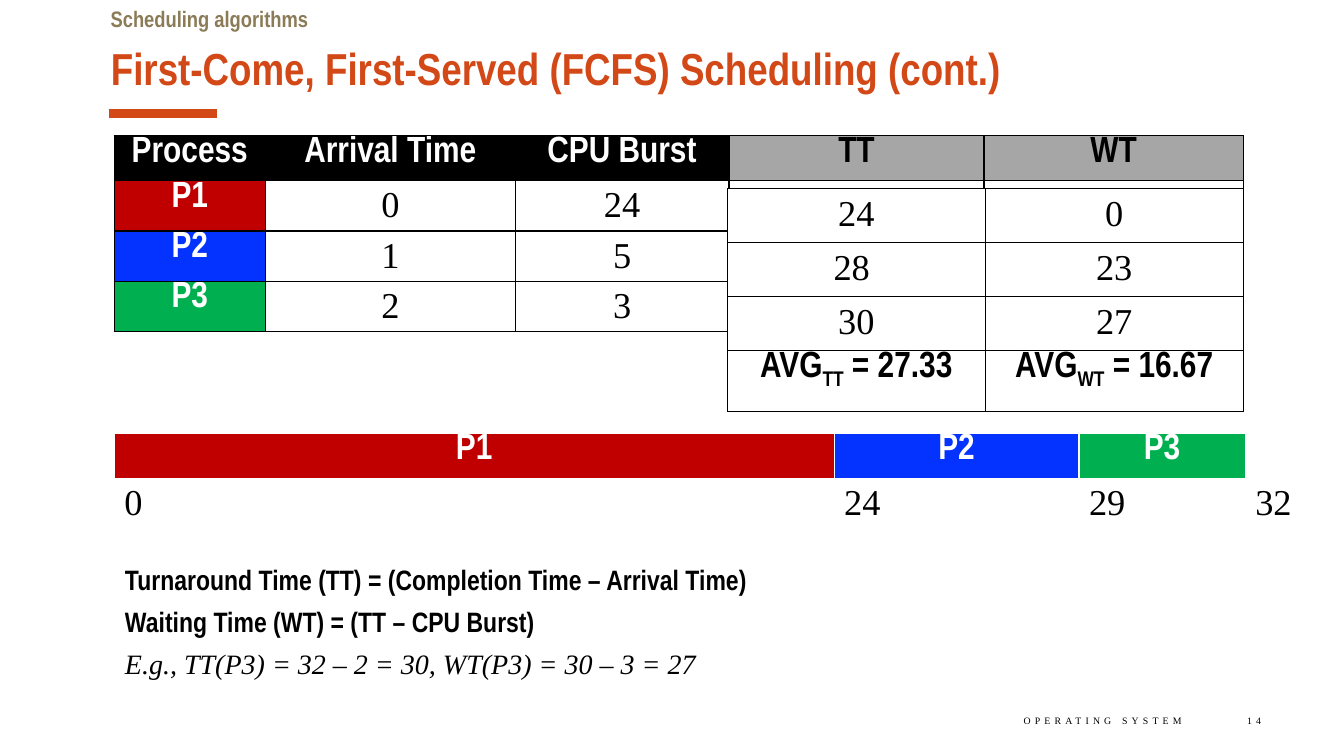
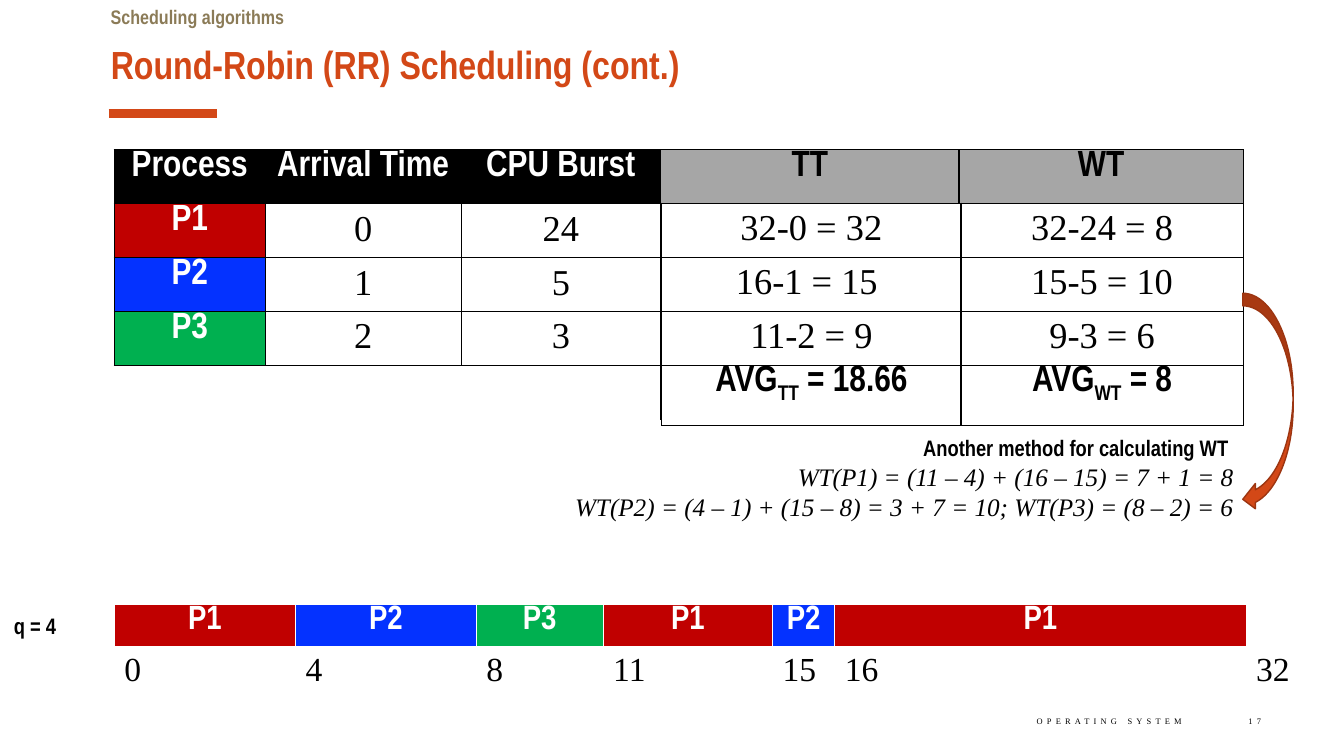
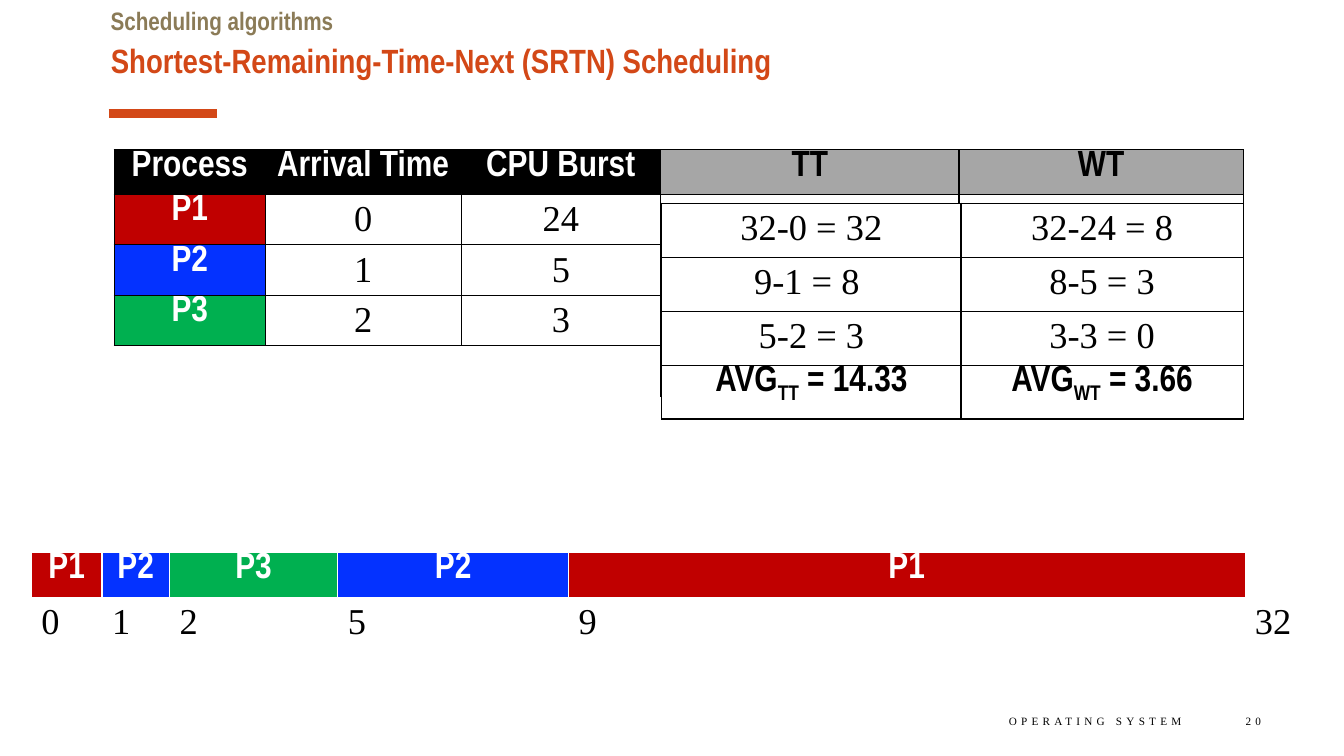
from dataclasses import dataclass

from lxml import etree
from pptx import Presentation
from pptx.dml.color import RGBColor
from pptx.enum.shapes import MSO_CONNECTOR, MSO_SHAPE
from pptx.enum.text import MSO_ANCHOR, MSO_AUTO_SIZE, PP_ALIGN
from pptx.oxml.ns import qn
from pptx.util import Cm, Pt

LEFT, CENTER, RIGHT, JUSTIFY = PP_ALIGN.LEFT, PP_ALIGN.CENTER, PP_ALIGN.RIGHT, PP_ALIGN.JUSTIFY
TOP, MIDDLE = MSO_ANCHOR.TOP, MSO_ANCHOR.MIDDLE
STRAIGHT = MSO_CONNECTOR.STRAIGHT
CURVED_ARROW = MSO_SHAPE.CURVED_LEFT_ARROW
NO_AUTOFIT = MSO_AUTO_SIZE.NONE

COLORS = {
    "accent": "D34817",
    "accent_dark": "9C3511",
    "topic": "8B7B57",
    "black": "000000",
    "white": "FFFFFF",
    "gray": "A6A6A6",
    "P1": "C00000",
    "P2": "0432FF",
    "P3": "00B050",
}
HEADING_FONT = "Arial Narrow"
BODY_FONT = "Times New Roman"
TABLE_SIZE = 26
TITLE_ONLY = 5
SIDES = {"L": "a:lnL", "R": "a:lnR", "T": "a:lnT", "B": "a:lnB"}

HEADERS = ("Process", "Arrival Time", "CPU Burst", "TT", "WT")
PROCESSES = (("P1", "0", "24"), ("P2", "1", "5"), ("P3", "2", "3"))
TABLE_LEFT = 2.88
RESULT_ROW = 1.36


@dataclass(frozen=True)
class Style:
    size: float
    color: str = "black"
    heading: bool = False
    italic: bool = False
    spacing: int = 0
    baseline: int = 0


@dataclass(frozen=True)
class Line:
    text: str
    style: Style


@dataclass(frozen=True)
class ProcessTable:
    top: float
    columns: tuple[float, ...]
    header_height: float
    row_height: float


@dataclass(frozen=True)
class Results:
    left: float
    top: float
    columns: tuple[float, float]
    times: tuple[tuple[str, str], ...]
    averages: tuple[str, str]
    average_height: float


@dataclass(frozen=True)
class Gantt:
    left: float
    top: float
    columns: tuple[float, ...]
    processes: tuple[str, ...]
    ticks: tuple[str, ...]
    heights: tuple[float, float]
    size: float = TABLE_SIZE


@dataclass(frozen=True)
class Page:
    title: str
    number: str
    title_size: float
    topic_size: float
    footer_size: float
    process_table: ProcessTable
    results: Results
    gantt: Gantt
    title_width: float = 28.78


def rgb(name: str) -> RGBColor:
    return RGBColor.from_string(COLORS[name])


def add_run(paragraph, text: str, style: Style) -> None:
    run = paragraph.add_run()
    run.text = text
    font = run.font
    font.name = HEADING_FONT if style.heading else BODY_FONT
    font.size = Pt(style.size)
    font.bold = style.heading
    font.italic = style.italic
    font.color.rgb = rgb(style.color)
    properties = run._r.get_or_add_rPr()
    if style.spacing:
        properties.set("spc", str(style.spacing))
    if style.baseline:
        properties.set("baseline", str(style.baseline))


def write_lines(frame, lines, align=LEFT, anchor=TOP, space_before: float = 0) -> None:
    frame.word_wrap = True
    frame.auto_size = NO_AUTOFIT
    frame.vertical_anchor = anchor
    for index, line in enumerate(lines):
        paragraph = frame.add_paragraph() if index else frame.paragraphs[0]
        paragraph.alignment = align
        paragraph.space_before = Pt(space_before)
        add_run(paragraph, line.text, line.style)


def add_text(slide, box, lines, align=LEFT, anchor=TOP, space_before: float = 0) -> None:
    textbox = slide.shapes.add_textbox(*map(Cm, box))
    write_lines(textbox.text_frame, lines, align, anchor, space_before)


def set_borders(cell, color: str, visible: str) -> None:
    """Draw the sides lettered in visible (L, R, T, B) and clear the others."""
    properties = cell._tc.get_or_add_tcPr()
    for position, (side, tag) in enumerate(SIDES.items()):
        border = etree.Element(qn(tag), w=str(Pt(1)))
        if side in visible:
            fill = etree.SubElement(border, qn("a:solidFill"))
            etree.SubElement(fill, qn("a:srgbClr"), val=COLORS[color])
        else:
            etree.SubElement(border, qn("a:noFill"))
        properties.insert(position, border)


def add_grid(slide, left: float, top: float, columns, heights):
    """Add a table with no banding, sized by its columns and rows."""
    table = slide.shapes.add_table(
        len(heights), len(columns), Cm(left), Cm(top), Cm(sum(columns)), Cm(sum(heights))
    ).table
    table.first_row = table.horz_banding = False
    for column, width in zip(table.columns, columns):
        column.width = Cm(width)
    for row, height in zip(table.rows, heights):
        row.height = Cm(height)
    return table


def fill_cell(cell, parts, fill=None, align=CENTER, border="black", sides="LRTB") -> None:
    """Write (text, style) parts into a cell; heading cells have no vertical margins."""
    if fill:
        cell.fill.solid()
        cell.fill.fore_color.rgb = rgb(fill)
    else:
        cell.fill.background()
    set_borders(cell, border, sides)
    paragraph = cell.text_frame.paragraphs[0]
    paragraph.alignment = align
    for text, style in parts:
        add_run(paragraph, text, style)
    if parts and parts[0][1].heading:
        cell.margin_top = cell.margin_bottom = 0


def add_process_table(slide, layout: ProcessTable) -> None:
    heights = [layout.header_height] + [layout.row_height] * (len(PROCESSES) + 1)
    table = add_grid(slide, TABLE_LEFT, layout.top, layout.columns, heights)
    white_heading = Style(TABLE_SIZE, "white", heading=True)
    black_heading = Style(TABLE_SIZE, heading=True)
    for column, header in enumerate(HEADERS):
        computed = header in ("TT", "WT")
        style = black_heading if computed else white_heading
        fill_cell(table.cell(0, column), [(header, style)], "gray" if computed else "black")
    for row, (process, *times) in enumerate(PROCESSES, start=1):
        fill_cell(table.cell(row, 0), [(process, white_heading)], process)
        for column, time in enumerate(times, start=1):
            fill_cell(table.cell(row, column), [(time, Style(TABLE_SIZE))])
        for column in (3, 4):
            fill_cell(table.cell(row, column), [])
    for column, sides in enumerate(("T", "T", "TR", "LRTB", "LRTB")):
        fill_cell(table.cell(len(PROCESSES) + 1, column), [], sides=sides)


def add_results(slide, results: Results) -> None:
    heights = [RESULT_ROW] * len(results.times) + [results.average_height]
    table = add_grid(slide, results.left, results.top, results.columns, heights)
    for row, times in enumerate(results.times):
        for column, time in enumerate(times):
            fill_cell(table.cell(row, column), [(time, Style(TABLE_SIZE))], "white")
    heading = Style(TABLE_SIZE, heading=True)
    subscript = Style(TABLE_SIZE, heading=True, baseline=-25000)
    for column, (measure, average) in enumerate(zip(HEADERS[3:], results.averages)):
        parts = [("AVG", heading), (measure, subscript), (f" = {average}", heading)]
        fill_cell(table.cell(len(results.times), column), parts, "white")


def add_gantt(slide, gantt: Gantt) -> None:
    table = add_grid(slide, gantt.left, gantt.top, gantt.columns, gantt.heights)
    heading = Style(gantt.size, "white", heading=True)
    for column, process in enumerate(gantt.processes):
        fill_cell(table.cell(0, column), [(process, heading)], process, border="white", sides="LRT")
    fill_cell(table.cell(0, len(gantt.processes)), [], sides="")
    for column, tick in enumerate(gantt.ticks):
        fill_cell(table.cell(1, column), [(tick, Style(gantt.size))], align=LEFT, sides="")


def add_title_rule(slide) -> None:
    rule = slide.shapes.add_connector(STRAIGHT, Cm(2.74), Cm(2.86), Cm(5.46), Cm(2.86))
    rule.line.color.rgb = rgb("accent")
    rule.line.width = Pt(6)
    etree.SubElement(rule._element.spPr, qn("a:effectLst"))


def add_page(deck, page: Page):
    slide = deck.slides.add_slide(deck.slide_layouts[TITLE_ONLY])
    add_title_rule(slide)
    title = slide.shapes.title
    title.left, title.top, title.width, title.height = map(Cm, (2.54, 0.89, page.title_width, 1.55))
    write_lines(title.text_frame, [Line(page.title, Style(page.title_size, "accent", heading=True))])
    topic = Line("Scheduling algorithms", Style(page.topic_size, "topic", heading=True))
    add_text(slide, (2.54, 0, 28.78, 1.02), [topic])
    footer = Style(page.footer_size, spacing=300)
    add_text(slide, (18.8, 17.65, 11.23, 1.02), [Line("OPERATING SYSTEM", footer)], RIGHT, MIDDLE)
    add_text(slide, (30.02, 17.65, 2.01, 1.02), [Line(page.number, footer)], RIGHT, MIDDLE)
    add_gantt(slide, page.gantt)
    add_process_table(slide, page.process_table)
    add_results(slide, page.results)
    return slide


def add_definitions(slide) -> None:
    bold = Style(20, heading=True)
    lines = [
        Line("Turnaround Time (TT) = (Completion Time – Arrival Time)", bold),
        Line("Waiting Time (WT) = (TT – CPU Burst)", bold),
        Line("E.g., TT(P3) = 32 – 2 = 30, WT(P3) = 30 – 3 = 27", Style(20, italic=True)),
    ]
    add_text(slide, (2.9, 14.05, 29.9, 3.25), lines, JUSTIFY, space_before=6)


def add_other_method(slide) -> None:
    label = Style(16, heading=True)
    formula = Style(18, italic=True)
    lines = [
        Line("Another method for calculating WT ", label),
        Line("WT(P1) = (11 – 4) + (16 – 15) = 7 + 1 = 8", formula),
        Line("WT(P2) = (4 – 1) + (15 – 8) = 3 + 7 = 10; WT(P3) = (8 – 2) = 6", formula),
    ]
    add_text(slide, (2.92, 10.82, 28.42, 2.49), lines, RIGHT)
    add_text(slide, (0.1, 15.29, 2.79, 0.94), [Line("q = 4", label)])
    arrow = slide.shapes.add_shape(CURVED_ARROW, Cm(31.32), Cm(7.39), Cm(1.27), Cm(5.51))
    arrow.shadow.inherit = False
    arrow.fill.solid()
    arrow.fill.fore_color.rgb = rgb("accent")
    arrow.line.color.rgb = rgb("accent_dark")
    arrow.line.width = Pt(1)


NARROW_COLUMNS = (3.81, 4.93, 5.03, 7.52, 7.16)
RESULT_COLUMNS = (7.54, 7.11)

FCFS = Page(
    "First-Come, First-Served (FCFS) Scheduling (cont.)", "14", 32, 16, 7,
    ProcessTable(3.42, (3.81, 6.3, 5.38, 6.43, 6.53), 1.13, 1.27),
    Results(18.33, 4.76, (6.5, 6.5), (("24", "0"), ("28 ", "23"), ("30", "27")),
            ("27.33", "16.67"), 1.52),
    Gantt(TABLE_LEFT, 10.92, (18.14, 6.17, 4.19, 1.85), ("P1", "P2", "P3"),
          ("0", "24", "29", "32"), (1.12, 1.27)),
)
ROUND_ROBIN = Page(
    "Round-Robin (RR) Scheduling (cont.)", "17", 28, 14, 6,
    ProcessTable(3.77, NARROW_COLUMNS, RESULT_ROW, RESULT_ROW),
    Results(16.68, 5.12, RESULT_COLUMNS,
            (("32-0 = 32", "32-24 = 8"), ("16-1 = 15 ", "15-5 = 10"), ("11-2 = 9", "9-3 = 6")),
            ("18.66", "8"), 1.52),
    Gantt(TABLE_LEFT, 15.24, (4.57, 4.55, 3.2, 4.27, 1.57, 10.36, 1.63),
          ("P1", "P2", "P3", "P1", "P2", "P1"),
          ("0", "4", "8", "11", "15", "16", "32"), (1.04, 1.2), 24),
)
SRTN = Page(
    "Shortest-Remaining-Time-Next (SRTN) Scheduling", "20", 24, 18, 8,
    ProcessTable(3.77, NARROW_COLUMNS, 1.13, 1.27),
    Results(16.68, 5.12, RESULT_COLUMNS,
            (("32-0 = 32", "32-24 = 8"), ("9-1 = 8 ", "8-5 = 3"), ("5-2 = 3", "3-3 = 0")),
            ("14.33", "3.66"), RESULT_ROW),
    Gantt(0.79, 13.92, (1.78, 1.7, 4.24, 5.82, 17.04, 1.65),
          ("P1", "P2", "P3", "P2", "P1"), ("0", "1", "2", "5", "9", "32"), (1.12, 1.27)),
    title_width=30.12,
)


def main() -> None:
    deck = Presentation()
    deck.slide_width, deck.slide_height = Cm(33.87), Cm(19.05)
    add_definitions(add_page(deck, FCFS))
    add_other_method(add_page(deck, ROUND_ROBIN))
    add_page(deck, SRTN)
    deck.save("out.pptx")


if __name__ == "__main__":
    main()
